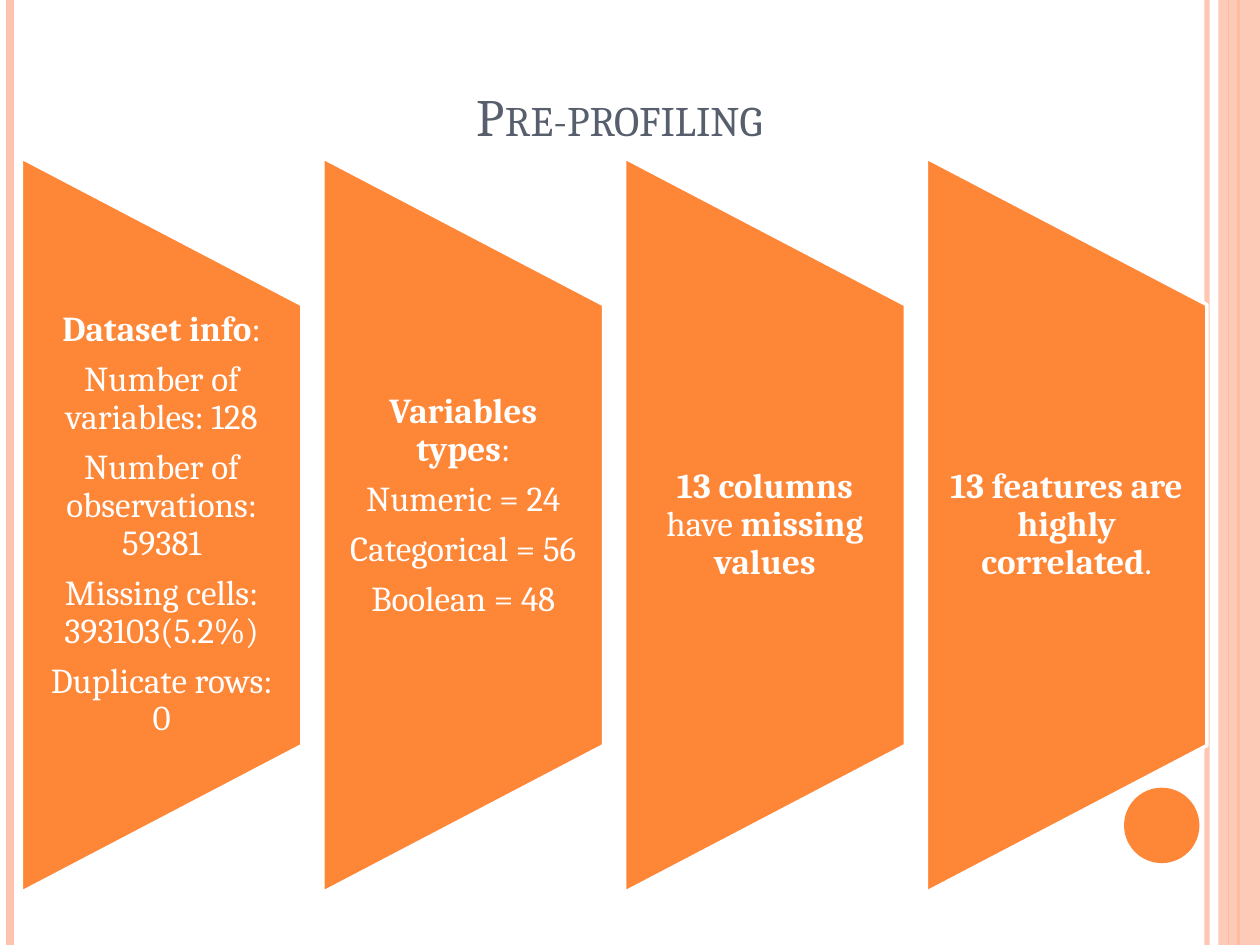
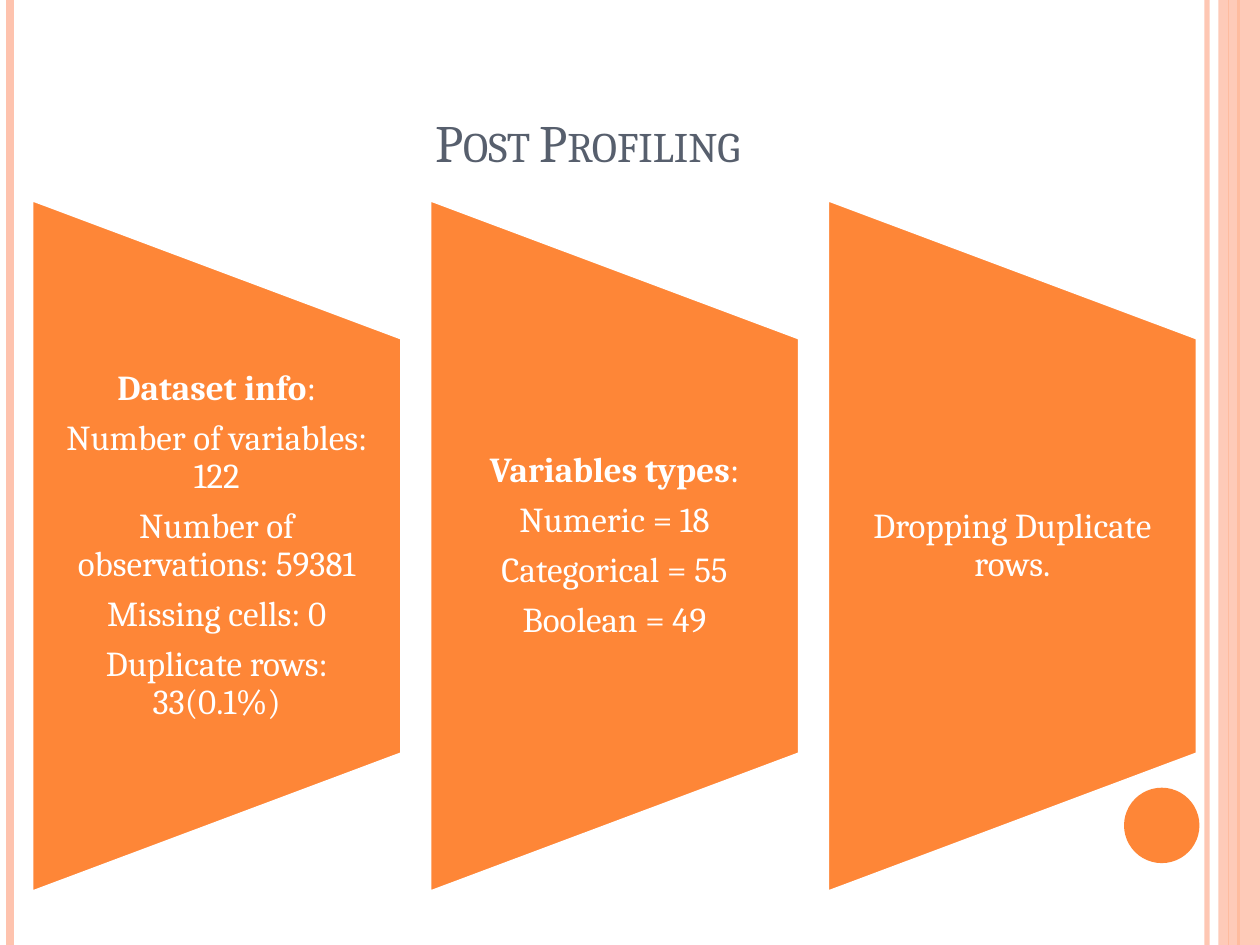
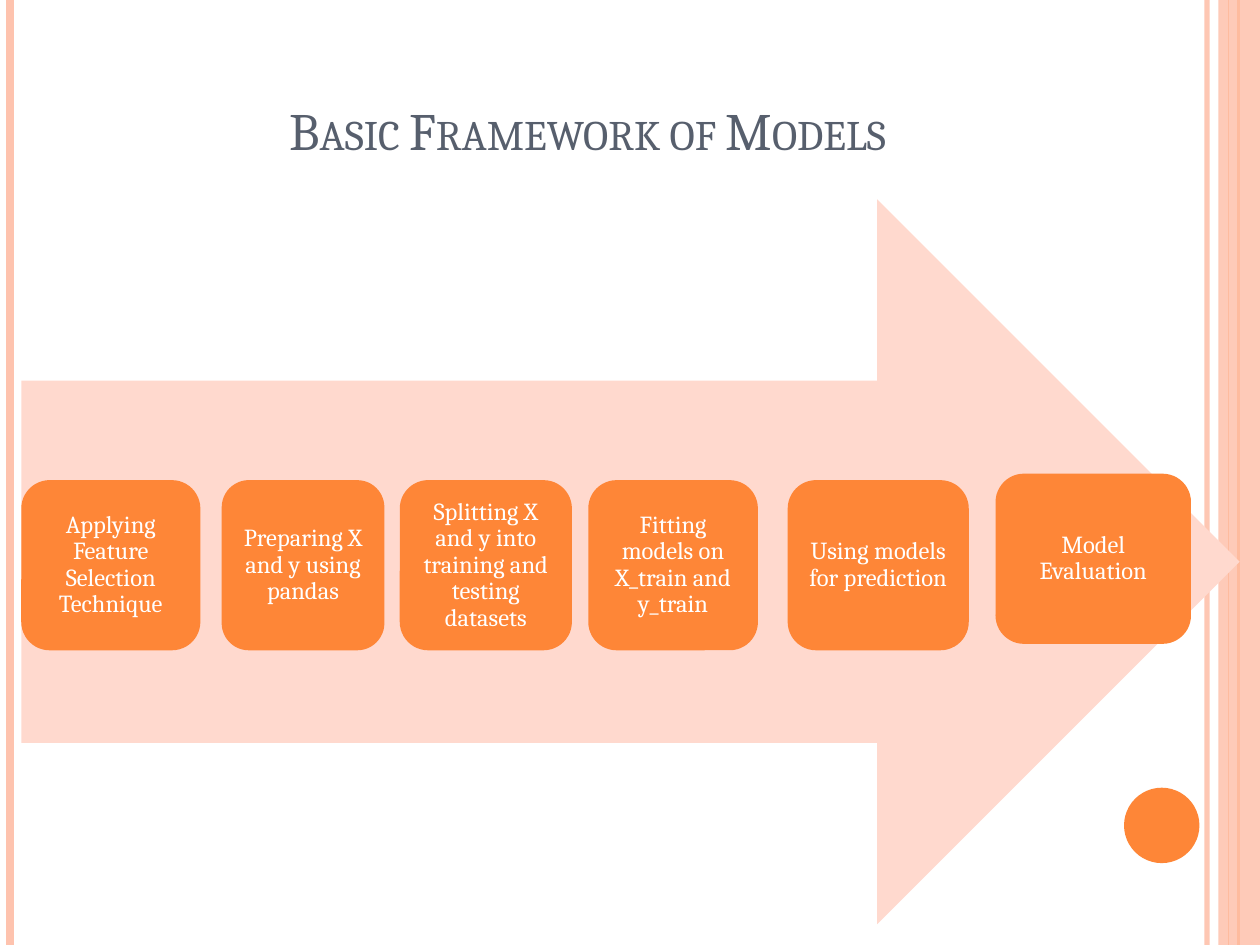
from dataclasses import dataclass

from lxml import etree
from pptx import Presentation
from pptx.dml.color import RGBColor
from pptx.enum.shapes import MSO_CONNECTOR, MSO_SHAPE
from pptx.enum.text import MSO_ANCHOR, MSO_AUTO_SIZE, PP_ALIGN
from pptx.oxml.ns import qn
from pptx.util import Cm, Pt

CENTER = PP_ALIGN.CENTER
MIDDLE, BOTTOM = MSO_ANCHOR.MIDDLE, MSO_ANCHOR.BOTTOM
NO_FIT = MSO_AUTO_SIZE.NONE
STRAIGHT = MSO_CONNECTOR.STRAIGHT
RECT, OVAL = MSO_SHAPE.RECTANGLE, MSO_SHAPE.OVAL
ROUNDED, ARROW = MSO_SHAPE.ROUNDED_RECTANGLE, MSO_SHAPE.RIGHT_ARROW
TRAPEZOID = MSO_SHAPE.FLOWCHART_MANUAL_OPERATION


@dataclass(frozen=True)
class Theme:
    font: str = "Cambria"
    orange: str = "FE8637"
    peach: str = "FEC3AE"
    pale: str = "FFD9CE"
    slate: str = "575F6D"
    white: str = "FFFFFF"
    title: int = 30
    panel: int = 20
    step: int = 14


T = Theme()
WIDTH, HEIGHT = 25.4, 19.05
PANEL_GAP = 0.075

RULES = [
    (24.33, T.peach, 3, 93),
    (0.2, T.peach, 4.5, 100),
    (24.97, T.orange, 1.5, 100),
    (24.77, T.orange, 0.75, 100),
]

PANEL_SLIDES = [
    {
        "title": "Pre-profiling",
        "title_box": (0.64, 0.2, 23.7, 2.9),
        "area": (0.43, 3.18, 23.9, 14.81),
        "panels": [
            [[("Dataset info", True), (":", False)],
             [("Number of variables: 128", False)],
             [("Number of observations: 59381", False)],
             [("Missing cells: 393103(5.2%)", False)],
             [("Duplicate rows: 0", False)]],
            [[("Variables types", True), (":", False)],
             [("Numeric = 24", False)],
             [("Categorical = 56", False)],
             [("Boolean = 48", False)]],
            [[("13 columns", True), (" have ", False), ("missing values", True)]],
            [[("13 features are highly correlated", True), (".", False)]],
        ],
        "bottom_insets": [0, 0.76, 0, 0],
    },
    {
        "title": "Post Profiling",
        "title_box": (1.47, 0.43, 20.75, 3.18),
        "area": (0.64, 4.02, 23.5, 13.97),
        "panels": [
            [[("Dataset info", True), (":", False)],
             [("Number of variables: 122", False)],
             [("Number of observations: 59381", False)],
             [("Missing cells: 0", False)],
             [("Duplicate rows: 33(0.1%)", False)]],
            [[("Variables types", True), (":", False)],
             [("Numeric = 18", False)],
             [("Categorical = 55", False)],
             [("Boolean = 49", False)]],
            [[("Dropping Duplicate rows.", False)]],
        ],
        "bottom_insets": [0, 0, 0],
    },
]

FRAMEWORK_TITLE = "Basic Framework of Models"
FRAMEWORK_TITLE_BOX = (1.47, 0.2, 20.75, 3.18)
ARROW_BOX = (0.43, 4.02, 24.56, 14.61)
STEP_HEIGHT = 3.43
STEPS = [
    ("Applying Feature Selection Technique", 0.43, 9.68, 3.61),
    ("Preparing X and y using pandas", 4.47, 9.68, 3.28),
    ("Splitting X and y into training and testing datasets", 8.06, 9.68, 3.47),
    ("Fitting models on X_train and y_train", 11.86, 9.68, 3.42),
    ("Using models for prediction", 15.88, 9.68, 3.65),
    ("Model Evaluation", 20.07, 9.55, 3.94),
]


def box(values):
    return [Cm(v) for v in values]


def set_alpha(color_parent, percent):
    color = next(color_parent.iter(qn("a:srgbClr")))
    etree.SubElement(color, qn("a:alpha")).set("val", str(percent * 1000))


def add_shape(s, kind, bounds, color):
    sp = s.shapes.add_shape(kind, *box(bounds))
    sp.shadow.inherit = False
    sp.fill.solid()
    sp.fill.fore_color.rgb = RGBColor.from_string(color)
    sp.line.fill.background()
    return sp


def add_rule(s, x, color, width, alpha):
    line = s.shapes.add_connector(STRAIGHT, *box((x, 0, x, HEIGHT)))
    line.line.color.rgb = RGBColor.from_string(color)
    line.line.width = Pt(width)
    if alpha < 100:
        set_alpha(line.line._get_or_add_ln(), alpha)
    etree.SubElement(line._element.spPr, qn("a:effectLst"))


def style_run(r, size, color, bold=False):
    r.font.name = T.font
    r.font.size = Pt(size)
    r.font.bold = bold
    r.font.color.rgb = RGBColor.from_string(color)


def write(tf, paragraphs, size, insets):
    tf.word_wrap = True
    tf.auto_size = NO_FIT
    tf.vertical_anchor = MIDDLE
    tf.margin_left, tf.margin_top, tf.margin_right, tf.margin_bottom = box(insets)
    for i, runs in enumerate(paragraphs):
        p = tf.add_paragraph() if i else tf.paragraphs[0]
        p.alignment = CENTER
        p.line_spacing = 0.9
        p.space_after = Pt(size * 0.35)
        for text, bold in runs:
            r = p.add_run()
            r.text = text
            style_run(r, size, T.white, bold)


def add_slide(prs, title, title_box):
    s = prs.slides.add_slide(prs.slide_layouts[5])
    for rule in RULES:
        add_rule(s, *rule)
    band = add_shape(s, RECT, (24.56, 0, WIDTH - 24.56, HEIGHT), T.peach)
    set_alpha(band._element.spPr, 87)
    add_shape(s, OVAL, (22.66, 15.88, 1.52, 1.52), T.orange)

    sp = s.shapes.title
    sp.left, sp.top, sp.width, sp.height = box(title_box)
    tf = sp.text_frame
    tf.text = title
    tf.auto_size = NO_FIT
    tf.vertical_anchor = BOTTOM
    p = tf.paragraphs[0]
    p.alignment = CENTER
    r = p.runs[0]
    style_run(r, T.title, T.slate)
    r.font._element.set("cap", "small")
    return s


def add_panels(s, area, panels, bottom_insets):
    left, top, total, height = area
    width = total / (len(panels) + PANEL_GAP * (len(panels) - 1))
    for i, (paragraphs, bottom) in enumerate(zip(panels, bottom_insets)):
        x = left + i * width * (1 + PANEL_GAP)
        shift = (height - width) / 2
        sp = add_shape(s, TRAPEZOID, (x - shift, top + shift, height, width), T.orange)
        sp.rotation = 270
        sp.line.color.rgb = RGBColor.from_string(T.white)
        sp.line.width = Pt(2)
        tb = s.shapes.add_textbox(*box((x, top + height / 5, width, height * 3 / 5)))
        write(tb.text_frame, paragraphs, T.panel, (0.35, 0, 0.35, bottom))


def main():
    prs = Presentation()
    prs.slide_width, prs.slide_height = Cm(WIDTH), Cm(HEIGHT)

    for content in PANEL_SLIDES:
        s = add_slide(prs, content["title"], content["title_box"])
        add_panels(s, content["area"], content["panels"], content["bottom_insets"])

    s = add_slide(prs, FRAMEWORK_TITLE, FRAMEWORK_TITLE_BOX)
    add_shape(s, ARROW, ARROW_BOX, T.pale)
    for text, x, y, width in STEPS:
        sp = add_shape(s, ROUNDED, (x, y, width, STEP_HEIGHT), T.orange)
        write(sp.text_frame, [[(text, False)]], T.step, (0.16,) * 4)

    prs.save("out.pptx")


if __name__ == "__main__":
    main()
